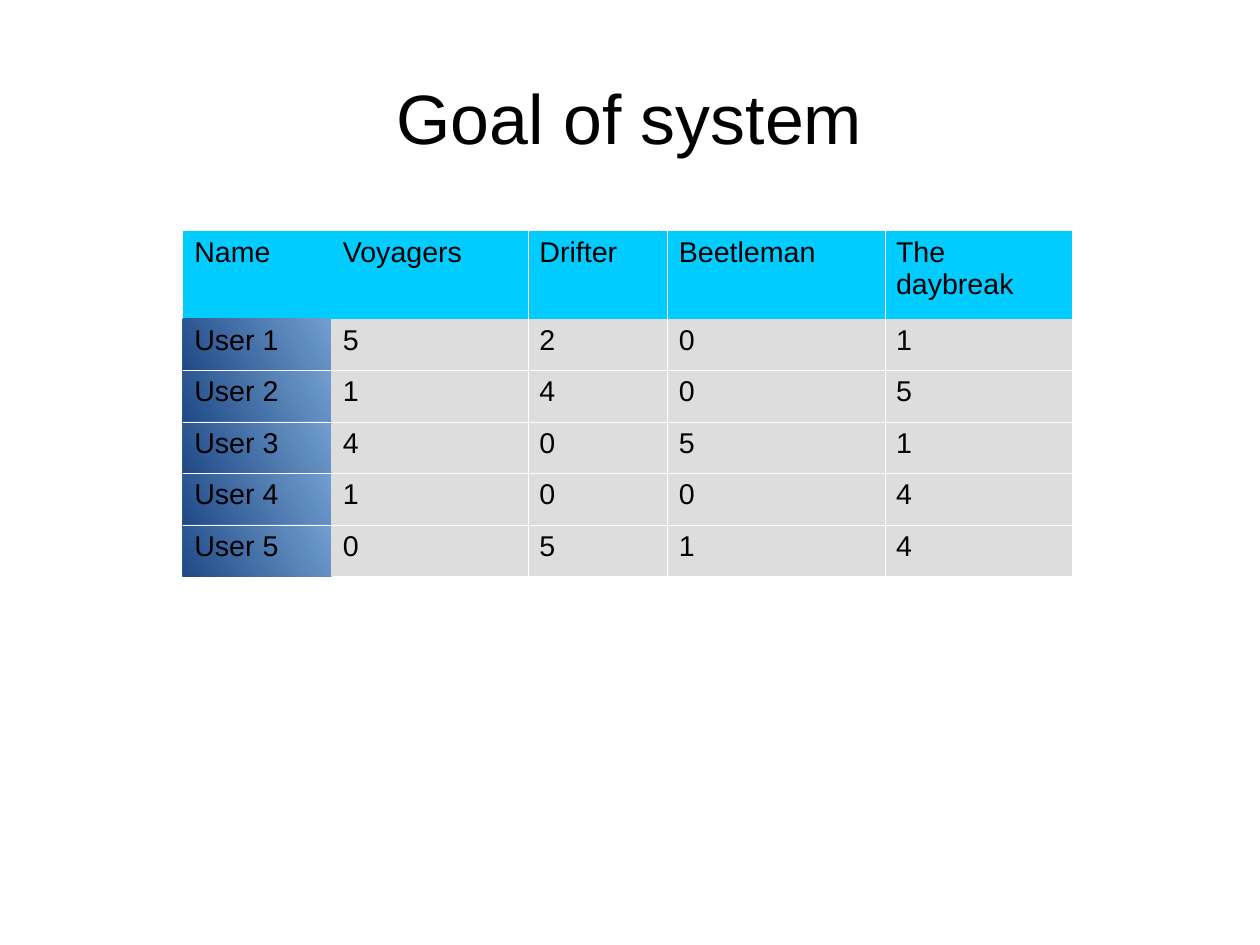
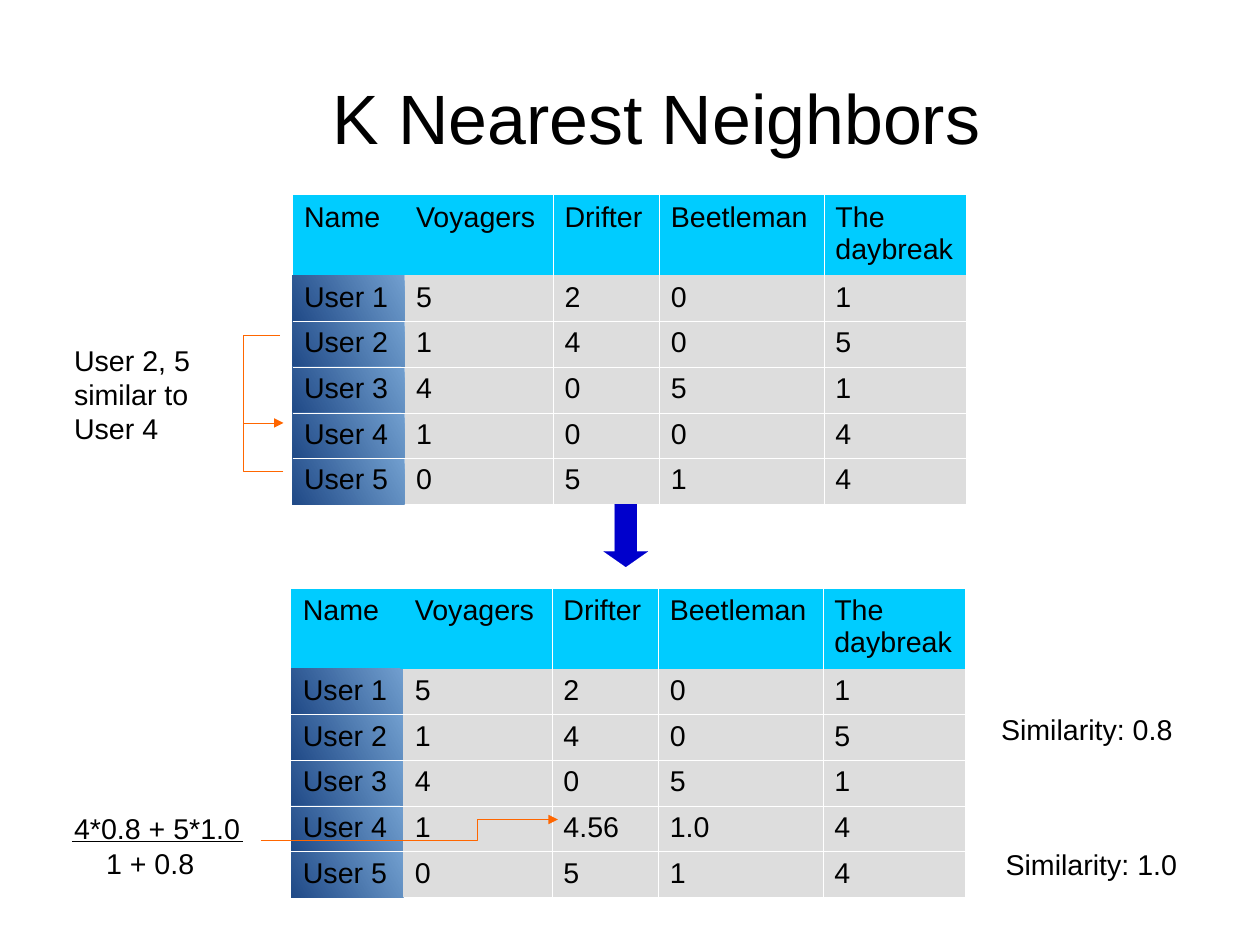
from dataclasses import dataclass

from lxml import etree
from pptx import Presentation
from pptx.dml.color import RGBColor
from pptx.enum.shapes import MSO_CONNECTOR, MSO_SHAPE
from pptx.enum.text import MSO_ANCHOR, MSO_AUTO_SIZE, PP_ALIGN
from pptx.oxml.ns import qn
from pptx.util import Inches, Pt

STRAIGHT = MSO_CONNECTOR.STRAIGHT
ELBOW = MSO_CONNECTOR.ELBOW
DOWN_ARROW = MSO_SHAPE.DOWN_ARROW
MIDDLE = MSO_ANCHOR.MIDDLE
TOP = MSO_ANCHOR.TOP
GROW = MSO_AUTO_SIZE.SHAPE_TO_FIT_TEXT
CENTER = PP_ALIGN.CENTER
LEFT = PP_ALIGN.LEFT
TITLE_ONLY = 5
CM_PER_INCH = 2.54


@dataclass(frozen=True)
class Theme:
    font: str = "Arial"
    title_size: int = 44
    body_size: int = 18
    text: str = "000000"
    header: str = "00CCFF"
    cell: str = "DDDDDD"
    user_light: str = "729FCF"
    user_dark: str = "204A87"
    grid: str = "FFFFFF"
    step: str = "0000CC"
    link: str = "FF6600"
    hairline: float = 0.06


THEME = Theme()

HEADER = ["Name", "Voyagers", "Drifter", "Beetleman", "The daybreak"]
RATINGS = [
    ["5", "2", "0", "1"],
    ["1", "4", "0", "5"],
    ["4", "0", "5", "1"],
    ["1", "0", "0", "4"],
    ["0", "5", "1", "4"],
]
PREDICTED = [*RATINGS[:3], ["1", "4.56", "1.0", "4"], RATINGS[4]]
WIDE_COLUMNS = [1.3, 1.72, 1.22, 1.9, 1.64]
NARROW_COLUMNS = [0.98, 1.3, 0.93, 1.44, 1.24]


def color(value):
    return RGBColor.from_string(value)


def write_text(frame, text, size=THEME.body_size, align=LEFT, indents=(0,)):
    frame.text = text
    for paragraph, indent in zip(frame.paragraphs, indents):
        properties = paragraph._p.get_or_add_pPr()
        properties.set("marL", str(Inches(indent)))
        properties.set("indent", "0")
        paragraph.alignment = align
        paragraph.font.name = THEME.font
        paragraph.font.size = Pt(size)
        paragraph.font.color.rgb = color(THEME.text)


def add_slide(presentation, title, indent=0):
    slide = presentation.slides.add_slide(presentation.slide_layouts[TITLE_ONLY])
    shape = slide.shapes.title
    shape.left, shape.top = Inches(0.55), Inches(0.33)
    shape.width, shape.height = Inches(9.92), Inches(1.38)
    frame = shape.text_frame
    frame.margin_left = frame.margin_right = 0
    frame.margin_top = frame.margin_bottom = 0
    frame.vertical_anchor = MIDDLE
    write_text(frame, title, size=THEME.title_size, align=CENTER, indents=(indent,))
    return slide


def add_label(slide, text, left, top, width, height, **text_format):
    box = slide.shapes.add_textbox(Inches(left), Inches(top), Inches(width), Inches(height))
    box.text_frame.word_wrap = True
    box.text_frame.auto_size = GROW
    write_text(box.text_frame, text, **text_format)


def set_borders(cell, visible):
    properties = cell._tc.get_or_add_tcPr()
    for side in ("lnL", "lnR", "lnT", "lnB"):
        line = etree.SubElement(properties, qn(f"a:{side}"), w=str(Pt(THEME.hairline)))
        if side in visible:
            fill = etree.SubElement(line, qn("a:solidFill"))
            etree.SubElement(fill, qn("a:srgbClr"), val=THEME.grid)
        else:
            etree.SubElement(line, qn("a:noFill"))


def fill_cell(cell, row, column):
    if row and not column:
        cell.fill.gradient()
        cell.fill.gradient_angle = 210
        for stop, value in zip(cell.fill.gradient_stops, (THEME.user_light, THEME.user_dark)):
            stop.color.rgb = color(value)
    else:
        cell.fill.solid()
        cell.fill.fore_color.rgb = color(THEME.cell if row else THEME.header)


def add_ratings(slide, ratings, left, top, columns, header_height, row_height):
    rows = [HEADER] + [[f"User {number}", *values] for number, values in enumerate(ratings, 1)]
    heights = [header_height] + [row_height] * len(ratings)
    table = slide.shapes.add_table(
        len(rows), len(columns), Inches(left), Inches(top),
        Inches(sum(columns)), Inches(sum(heights)),
    ).table
    table.first_row = table.horz_banding = False
    for column, width in zip(table.columns, columns):
        column.width = Inches(width)
    for row, height in zip(table.rows, heights):
        row.height = Inches(height)
    last_row, last_column = len(rows) - 1, len(columns) - 1
    for row, values in enumerate(rows):
        for column, value in enumerate(values):
            cell = table.cell(row, column)
            edges = {
                "lnL": column > 1,
                "lnR": 0 < column < last_column,
                "lnT": row > 1,
                "lnB": 0 < row < last_row,
            }
            set_borders(cell, [side for side, shown in edges.items() if shown])
            fill_cell(cell, row, column)
            cell.vertical_anchor = TOP
            write_text(cell.text_frame, value)


def add_line(slide, start, end, line_color=THEME.link, bend=None, arrow=False):
    kind = STRAIGHT if bend is None else ELBOW
    connector = slide.shapes.add_connector(kind, *map(Inches, (*start, *end)))
    connector.line.color.rgb = color(line_color)
    connector.line.width = Pt(THEME.hairline)
    properties = connector._element.spPr
    if bend is not None:
        adjustments = properties.find(qn("a:prstGeom")).get_or_add_avLst()
        etree.SubElement(
            adjustments, qn("a:gd"), name="adj1", fmla=f"val {round(bend * 100000)}"
        )
    if arrow:
        etree.SubElement(properties.find(qn("a:ln")), qn("a:tailEnd"), type="triangle")
    etree.SubElement(properties, qn("a:effectLst"))


def add_step_arrow(slide, left, top, width, height):
    shape = slide.shapes.add_shape(
        DOWN_ARROW, Inches(left), Inches(top), Inches(width), Inches(height)
    )
    shape.adjustments[1] = 0.35
    shape.shadow.inherit = False
    shape.fill.solid()
    shape.fill.fore_color.rgb = color(THEME.step)
    shape.line.color.rgb = color(THEME.step)
    shape.line.width = Pt(THEME.hairline)


def build_goal(presentation):
    slide = add_slide(presentation, "Goal of system")
    add_ratings(slide, RATINGS, 1.6, 2.02, WIDE_COLUMNS, 0.77, 0.45)


def build_neighbors(presentation):
    slide = add_slide(presentation, "K Nearest Neighbors", indent=0.47)
    for ratings, left, top in ((RATINGS, 2.56, 1.71), (PREDICTED, 2.55, 5.15)):
        add_ratings(slide, ratings, left, top, NARROW_COLUMNS, 0.7, 0.4)
    add_step_arrow(slide, 5.28, 4.41, 0.39, 0.55)

    junction = (2.13, 3.7)
    add_line(slide, junction, (2.48, 3.7), arrow=True)
    for neighbor in ((2.45, 2.93), (2.48, 4.12)):
        add_line(slide, neighbor, junction, bend=1)
    add_label(slide, "User 2, 5 similar to User 4", 0.55, 2.95, 1.5, 1.22)

    add_label(slide, "Similarity: 0.8", 8.66, 6.18, 2.3, 0.43)
    add_label(slide, "Similarity: 1.0", 8.7, 7.36, 2.3, 0.43)

    add_line(slide, (4.41, 7.17), (4.88, 7.17), arrow=True)
    add_line(slide, (2.28, 7.35), (4.41, 7.17), bend=0.89)
    add_label(slide, "4*0.8 + 5*1.0\n1 + 0.8", 0.55, 7.05, 1.73, 0.94, indents=(0, 0.28))
    add_line(slide, (0.63, 7.36), (2.13, 7.36), line_color=THEME.text)


def main():
    presentation = Presentation()
    presentation.slide_width = Inches(28 / CM_PER_INCH)
    presentation.slide_height = Inches(21 / CM_PER_INCH)
    build_goal(presentation)
    build_neighbors(presentation)
    presentation.save("out.pptx")


if __name__ == "__main__":
    main()
